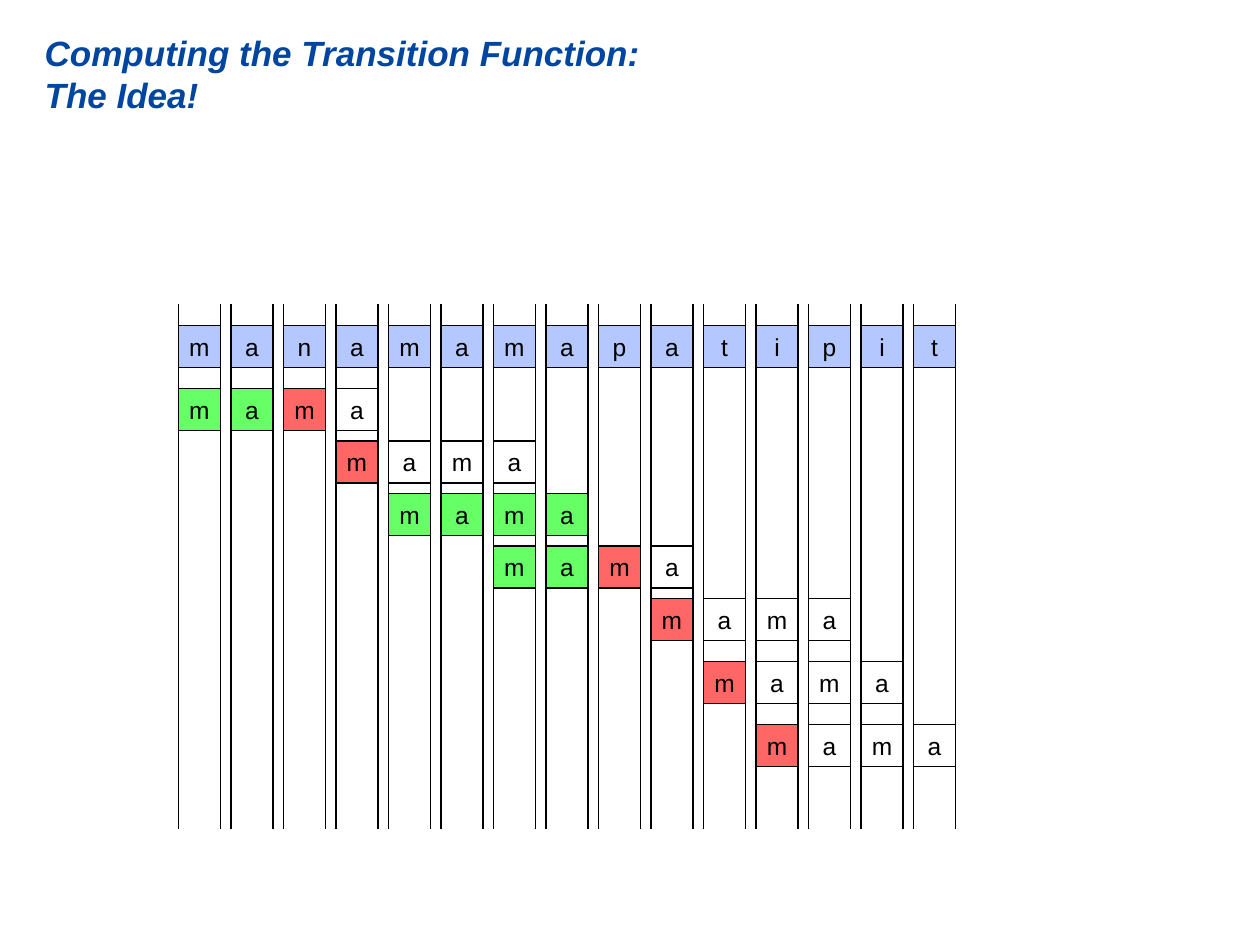
from pptx import Presentation
from pptx.dml.color import RGBColor
from pptx.enum import shapes, text
from pptx.oxml.ns import qn
from pptx import util as u
from lxml import etree

UNIT = 2.54 / 12  # grid unit in cm
LEFT, PITCH, CELL = 17, 5, 4
LINE_TOP, LINE_BOTTOM = 29, 79
BLACK, TITLE_BLUE = "000000", "0046A0"
FILLS = {"t": "B4C8FF", "=": "66FF66", "x": "FF6666", ".": "FFFFFF"}

SEARCHED, PATTERN = "manamamapatipit", "mama"
TEXT_TOP = 31
# top, first column, comparison result of each pattern letter
ATTEMPTS = [
    (37, 0, "==x."),
    (42, 3, "x..."),
    (47, 4, "===="),
    (52, 6, "==x."),
    (57, 9, "x..."),
    (63, 10, "x..."),
    (69, 11, "x..."),
]


def color(value):
    return RGBColor.from_string(value)


def grid(units):
    return u.Cm(units * UNIT)


def column_left(column):
    return LEFT + PITCH * column


def style_font(font, size, value):
    font.name = "Arial"
    font.size = u.Pt(size)
    font.color.rgb = color(value)


def set_title(slide, wording):
    title = slide.shapes.title
    title.left, title.top = u.Cm(0), u.Cm(0)
    title.width, title.height = u.Cm(17.4), u.Cm(2.97)
    frame = title.text_frame
    frame.text = wording
    frame.word_wrap = True
    frame.auto_size = text.MSO_AUTO_SIZE.NONE
    frame.vertical_anchor = text.MSO_ANCHOR.MIDDLE
    frame.margin_left, frame.margin_right = u.Cm(0.9), u.Cm(0.25)
    frame.margin_top = frame.margin_bottom = u.Cm(0.13)
    heading = frame.paragraphs[0]
    heading.alignment = text.PP_ALIGN.LEFT
    for run in heading.runs:
        style_font(run.font, 20, TITLE_BLUE)
        run.font.bold = run.font.italic = True


def add_cell(slide, column, top, letter, fill):
    cell = slide.shapes.add_shape(
        shapes.MSO_SHAPE.RECTANGLE, grid(column_left(column)), grid(top),
        grid(CELL), grid(CELL))
    cell.shadow.inherit = False
    cell.fill.solid()
    cell.fill.fore_color.rgb = color(fill)
    cell.line.color.rgb = color(BLACK)
    cell.line.width = u.Pt(0.75)
    frame = cell.text_frame
    frame.text = letter
    frame.word_wrap = False
    frame.vertical_anchor = text.MSO_ANCHOR.MIDDLE
    frame.paragraphs[0].alignment = text.PP_ALIGN.CENTER
    style_font(frame.paragraphs[0].runs[0].font, 14, BLACK)


def add_word(slide, first_column, top, word, marks):
    """Add a row of letter cells, each filled according to its mark."""
    for offset, (letter, mark) in enumerate(zip(word, marks)):
        add_cell(slide, first_column + offset, top, letter, FILLS[mark])


def add_guide(slide, x):
    guide = slide.shapes.add_connector(
        shapes.MSO_CONNECTOR.STRAIGHT, grid(x), grid(LINE_TOP),
        grid(x), grid(LINE_BOTTOM))
    guide.line.color.rgb = color(BLACK)
    guide.line.width = u.Pt(0.75)
    etree.SubElement(guide._element.spPr, qn("a:effectLst"))


def main():
    deck = Presentation()
    deck.slide_width, deck.slide_height = u.Cm(25.4), u.Cm(19.05)
    slide = deck.slides.add_slide(deck.slide_layouts[5])
    set_title(slide, "Computing the Transition Function:\vThe Idea!")
    add_word(slide, 0, TEXT_TOP, SEARCHED, "t" * len(SEARCHED))
    for top, first_column, marks in ATTEMPTS:
        add_word(slide, first_column, top, PATTERN, marks)
    for column in range(len(SEARCHED)):
        add_guide(slide, column_left(column))
        add_guide(slide, column_left(column) + CELL)
    deck.save("out.pptx")


if __name__ == "__main__":
    main()
